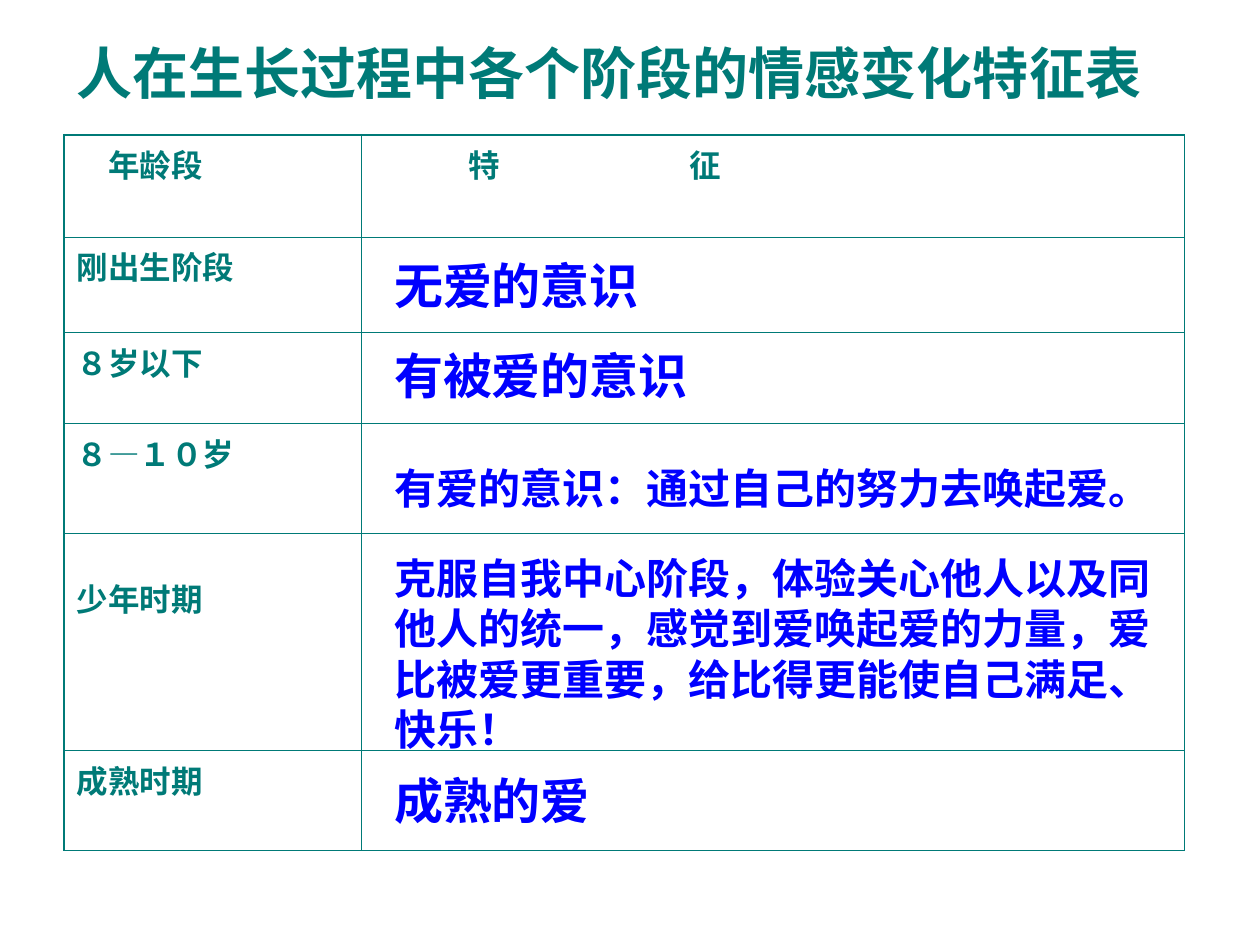
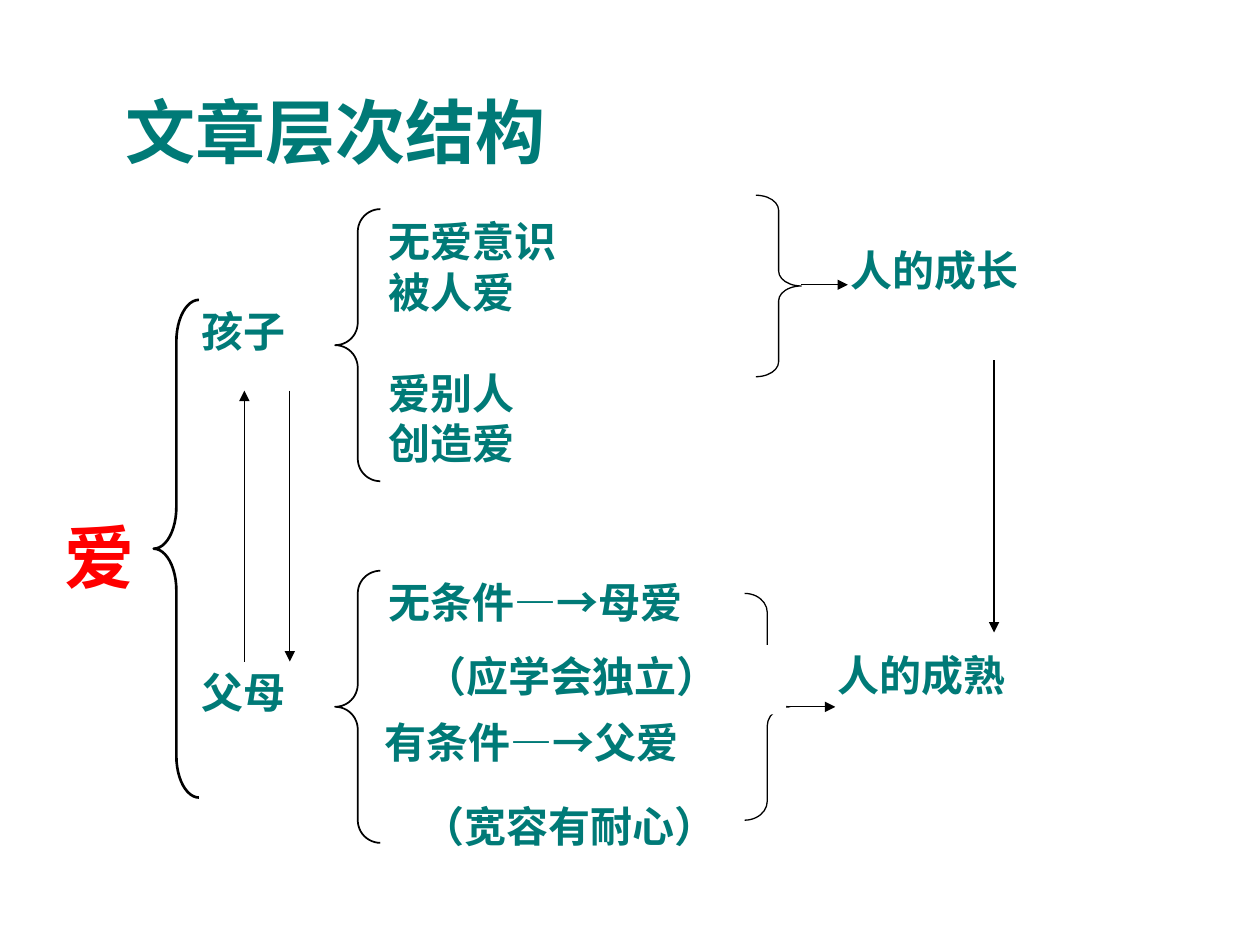
from dataclasses import dataclass

from lxml.etree import SubElement
from pptx import Presentation
from pptx.dml.color import RGBColor
from pptx.enum.shapes import MSO_CONNECTOR, MSO_SHAPE
from pptx.enum.text import MSO_ANCHOR, PP_ALIGN
from pptx.oxml import parse_xml
from pptx.oxml.ns import nsdecls, qn
from pptx.util import Inches, Pt

TEAL, BLUE, RED, BLACK, WHITE = "007A77", "0000FF", "FF0000", "000000", "FFFFFF"
CHINESE_FONT = "Noto Sans CJK SC"
SERIF = "Times New Roman"
LINE_HEIGHT = 1.2
BASELINE_DROP = 0.1


@dataclass
class Label:
    text: str
    left: float
    top: float
    width: float
    height: float
    size: int = 24
    color: str = TEAL
    font: str = SERIF
    inset_x: float = 0.02
    inset_y: float = 0.01
    fill: str = WHITE
    align: PP_ALIGN = PP_ALIGN.JUSTIFY
    gap_before: int = -1


@dataclass
class Brace:
    kind: MSO_SHAPE
    left: float
    top: float
    height: float
    curve: float
    weight: float = 1


@dataclass
class Arrow:
    start_x: float
    start_y: float
    end_x: float
    end_y: float


def rgb(color: str) -> RGBColor:
    return RGBColor.from_string(color)


def format_spans(para, size: int, color: str, font: str) -> None:
    for span in para.runs:
        span.font.size = Pt(size)
        span.font.bold = True
        span.font.name = font
        span.font.color.rgb = rgb(color)
        SubElement(span.font._element, qn("a:ea")).set("typeface", CHINESE_FONT)


def draw_label(page, label: Label) -> None:
    place = [Inches(value) for value in (label.left, label.top, label.width, label.height)]
    if label.fill:
        box = page.shapes.add_shape(MSO_SHAPE.RECTANGLE, *place)
        box.shadow.inherit = False
        box.fill.solid()
        box.fill.fore_color.rgb = rgb(label.fill)
        box.line.fill.background()
    else:
        box = page.shapes.add_textbox(*place)
    frame = box.text_frame
    frame.word_wrap = True
    frame.vertical_anchor = MSO_ANCHOR.TOP
    frame.margin_left = frame.margin_right = Inches(label.inset_x)
    frame.margin_top = Inches(label.inset_y + label.size * BASELINE_DROP / 72)
    frame.margin_bottom = 0
    frame.text = label.text
    for index, para in enumerate(frame.paragraphs):
        para.alignment = label.align
        para.line_spacing = Pt(label.size * LINE_HEIGHT)
        if index == label.gap_before:
            para.space_before = Pt(label.size * LINE_HEIGHT)
        format_spans(para, label.size, label.color, label.font)


def draw_plain_text(page, text: str, left: float, top: float, width: float, height: float,
                    size: int, color: str, font: str = "Arial") -> None:
    draw_label(page, Label(text, left, top, width, height, size, color, font,
                           0.1, 0.05, "", PP_ALIGN.LEFT))


def draw_brace(page, brace: Brace) -> None:
    shape = page.shapes.add_shape(brace.kind, Inches(brace.left), Inches(brace.top),
                                  Inches(0.36), Inches(brace.height))
    shape.shadow.inherit = False
    shape.adjustments[0] = brace.curve
    shape.fill.background()
    shape.line.color.rgb = rgb(BLACK)
    shape.line.width = Pt(brace.weight)


def draw_arrow(page, arrow: Arrow) -> None:
    line = page.shapes.add_connector(MSO_CONNECTOR.STRAIGHT,
                                     Inches(arrow.start_x), Inches(arrow.start_y),
                                     Inches(arrow.end_x), Inches(arrow.end_y))
    line.line.color.rgb = rgb(BLACK)
    line.line.width = Pt(0.75)
    SubElement(line.line._get_or_add_ln(), qn("a:tailEnd")).set("type", "triangle")
    SubElement(line._element.spPr, qn("a:effectLst"))


def draw_borders(cell, outer_sides: dict[str, bool]) -> None:
    properties = cell._tc.get_or_add_tcPr()
    for index, (side, outer) in enumerate(outer_sides.items()):
        width = Pt(1.08 if outer else 0.45)
        properties.insert(index, parse_xml(
            f'<a:ln{side} {nsdecls("a")} w="{width}"><a:solidFill>'
            f'<a:srgbClr val="{TEAL}"/></a:solidFill></a:ln{side}>'))


def draw_stage_table(page) -> None:
    stages = ["年龄段", "刚出生阶段", "８岁以下", "８—１０岁", "少年时期", "成熟时期"]
    heights = [0.81, 0.76, 0.72, 0.87, 1.73, 0.79]
    widths = [2.36, 6.53]
    table = page.shapes.add_table(len(stages), len(widths), Inches(0.51), Inches(1.07),
                                  Inches(sum(widths)), Inches(sum(heights))).table
    table.first_row = table.horz_banding = False
    for column, width in zip(table.columns, widths):
        column.width = Inches(width)
    last_row, last_column = len(stages) - 1, len(widths) - 1
    for row, (stage, height) in enumerate(zip(stages, heights)):
        table.rows[row].height = Inches(height)
        table.cell(row, 0).text = stage
        for column in range(len(widths)):
            cell = table.cell(row, column)
            cell.fill.background()
            draw_borders(cell, {"L": column == 0, "R": column == last_column,
                                "T": row == 0, "B": row == last_row})
    table.cell(0, 0).margin_left = Inches(0.35)
    table.cell(4, 0).margin_top = Inches(0.33)
    feature = table.cell(0, 1)
    feature.margin_left = Inches(0.85)
    feature.text = "特\t征"
    tabs = SubElement(feature.text_frame.paragraphs[0]._p.get_or_add_pPr(), qn("a:tabLst"))
    stop = SubElement(tabs, qn("a:tab"))
    stop.set("pos", str(Inches(1.75)))
    stop.set("algn", "l")
    for cell in table.iter_cells():
        format_spans(cell.text_frame.paragraphs[0], 18, TEAL, "Arial")


def build_stages(page) -> None:
    draw_plain_text(page, "人在生长过程中各个阶段的情感变化特征表", 0.51, 0.21, 8.98, 0.64, 32, TEAL)
    draw_stage_table(page)
    features = [
        ("无爱的意识", 1.94, 2.99, 0.57, 28),
        ("有被爱的意识", 2.65, 3.07, 0.57, 28),
        ("有爱的意识：通过自己的努力去唤起爱。", 3.59, 6.69, 0.5, 24),
        ("克服自我中心阶段，体验关心他人以及同他人的统一，感觉到爱唤起爱的力量，"
         "爱比被爱更重要，给比得更能使自己满足、快乐！", 4.3, 6.38, 1.7, 24),
        ("成熟的爱", 6.03, 5.98, 0.57, 28),
    ]
    for text, top, width, height, size in features:
        draw_plain_text(page, text, 3.03, top, width, height, size, BLUE)


def build_structure(page) -> None:
    left_brace, right_brace = MSO_SHAPE.LEFT_BRACE, MSO_SHAPE.RIGHT_BRACE
    parts = [
        Brace(left_brace, 1.22, 2.38, 3.95, 0.92, 1.5),
        Label("孩子", 1.58, 2.38, 1.2, 1.08),
        Label("父母", 1.58, 5.25, 1.2, 1.08),
        Brace(left_brace, 2.66, 4.53, 2.16, 0.5),
        Brace(left_brace, 2.66, 1.66, 2.16, 0.5),
        Label("无爱意识\n被人爱\n爱别人\n创造爱", 3.02, 1.67, 3.25, 2.34,
              inset_x=0.06, gap_before=2),
        Label("无条件—→母爱", 3.02, 4.53, 2.89, 2.34, font=CHINESE_FONT, inset_x=0.06),
        Brace(right_brace, 5.91, 4.71, 1.8, 0.42, 0.75),
        Arrow(6.15, 5.61, 6.63, 5.61),
        Label("人的成熟", 6.63, 5.07, 2.16, 0.9, inset_y=0.05),
        Arrow(2.3, 3.1, 2.3, 5.25),
        Arrow(1.94, 5.25, 1.94, 3.1),
        Label("（应学会独立）", 3.35, 5.12, 2.89, 0.55),
        Label("（宽容有耐心）", 3.35, 6.31, 2.53, 0.72, inset_x=0),
        Label("爱", 0.51, 4.02, 0.72, 0.9, 40, RED, inset_x=0, inset_y=0, fill=""),
        Brace(right_brace, 6, 1.55, 1.44, 0.33, 0.75),
        Arrow(6.36, 2.26, 6.73, 2.26),
        Label("人的成长", 6.73, 1.91, 2.53, 0.72, inset_y=0),
        Arrow(7.89, 2.86, 7.89, 5.02),
    ]
    painters = {Brace: draw_brace, Label: draw_label, Arrow: draw_arrow}
    for part in parts:
        painters[type(part)](page, part)
    draw_plain_text(page, "有条件—→父爱", 2.95, 5.6, 2.95, 0.5, 24, TEAL, CHINESE_FONT)
    draw_plain_text(page, "文章层次结构", 0.9, 0.6, 3.7, 0.77, 40, TEAL, "DejaVu Sans")


def main() -> None:
    deck = Presentation()
    deck.slide_width, deck.slide_height = Inches(10), Inches(7.5)
    for build in (build_stages, build_structure):
        build(deck.slides.add_slide(deck.slide_layouts[6]))
    deck.save("out.pptx")


if __name__ == "__main__":
    main()
